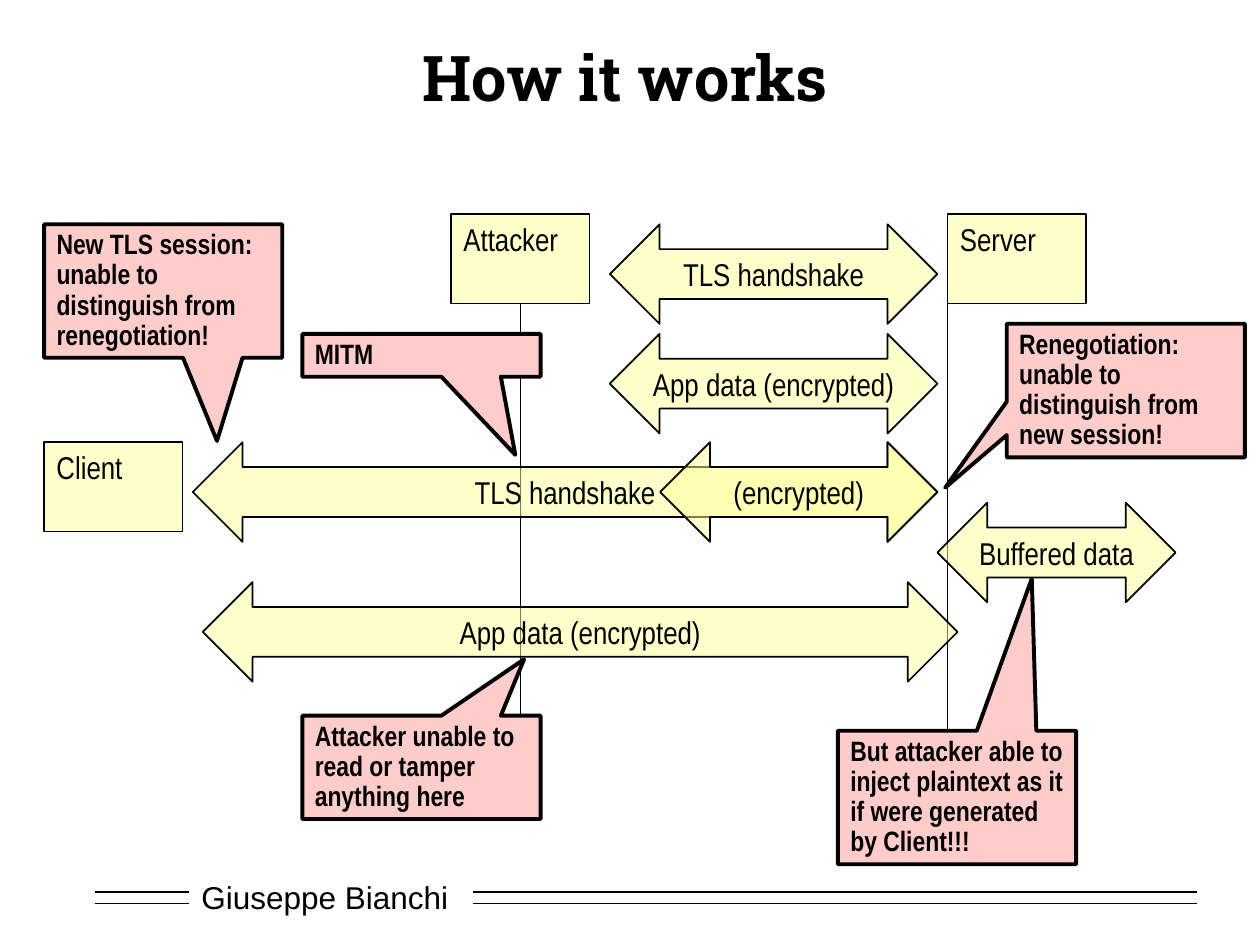
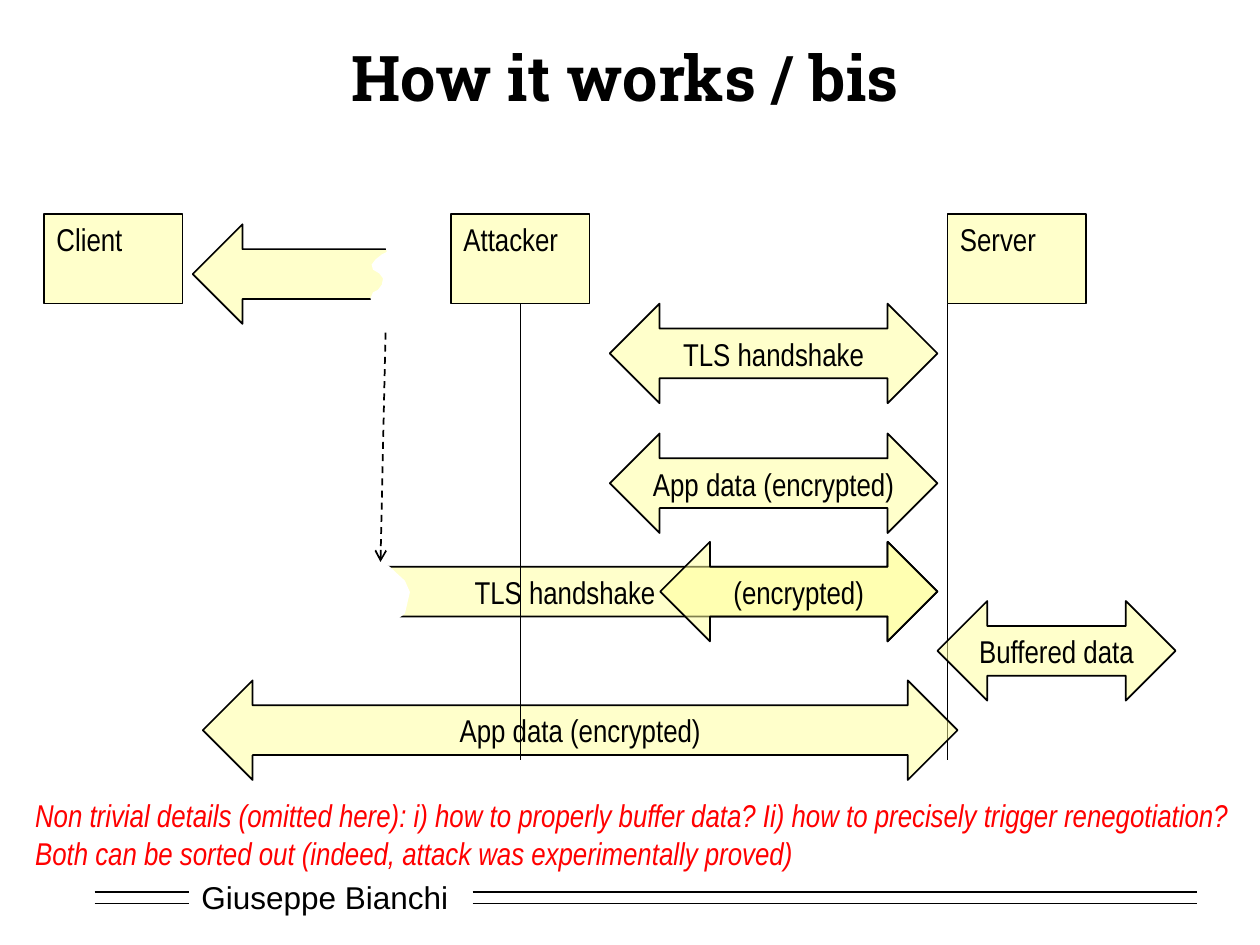
from lxml import etree
from pptx import Presentation
from pptx.dml.color import RGBColor
from pptx.enum.dml import MSO_LINE
from pptx.enum.shapes import MSO_CONNECTOR, MSO_SHAPE as Kind
from pptx.enum.text import MSO_ANCHOR as Anchor, PP_ALIGN as Align
from pptx.oxml.ns import qn
from pptx.util import Inches, Pt

HUES = {"ink": "000000", "paper": "FFFFFF", "pale": "FFFF99",
        "pink": "FFCCCC", "red": "FF0000"}
SANS, SLIM, SLAB = "Arial", "Arial Narrow", "Roboto Slab"

# Columns and sizes shared by both diagrams
CLIENT, ATTACK, SERVER = 0.35, 3.58, 7.52
TOP = 1.7
BOX_W, BOX_H = 1.1, 0.71
ARROW_H = 0.79
CALL_W = 1.89
LIFE = 2.41, 6.03

# Outline of the ragged patch that tears an arrow, from its top left corner
RAGGED = [
    (.06, 1.08), (.07, .98), (.09, .92), (.07, .86), (.03, .83), (.01, .78),
    (.03, .73), (.07, .71), (.10, .67), (.11, .62), (.08, .58), (.03, .55),
    (.02, .51), (.05, .47), (.10, .43), (.14, .41), (.11, .30), (.06, .22),
    (.08, .18), (.21, .11), (.27, .09), (.36, .05), (.40, .02), (.63, 0),
    (.86, .01), (.90, .02), (1.0, .08), (1.1, .19), (1.14, .25), (1.18, .27),
    (1.25, .34), (1.31, .39), (1.35, .44), (1.40, .50), (1.43, .59),
    (1.40, .76), (1.36, .80), (1.31, .91), (1.13, 1.05), (1.03, 1.08),
    (.81, 1.14), (.43, 1.09), (.38, 1.08), (.33, 1.05), (.13, 1.05),
    (.07, 1.07),
]


def hue(name):
    return RGBColor.from_string(HUES[name])


def write(shape, lines, size=18, face=SLIM, color="ink", bold=False,
          italic=False, align=Align.LEFT, anchor=Anchor.TOP, lead=None,
          wrap=True):
    frame = shape.text_frame
    frame.word_wrap = wrap
    frame.vertical_anchor = anchor
    for i, line in enumerate(lines):
        para = frame.add_paragraph() if i else frame.paragraphs[0]
        para.alignment = align
        if lead:
            para.line_spacing = lead
        run = para.add_run()
        run.text = line
        font = run.font
        font.name, font.size = face, Pt(size)
        font.bold, font.italic = bold, italic
        font.color.rgb = hue(color)


def paint(shape, fill, width=None, alpha=None):
    """Fill a shape; width is the line in points, alpha the opacity in %."""
    shape.shadow.inherit = False
    shape.fill.solid()
    shape.fill.fore_color.rgb = hue(fill)
    if alpha:
        tint = shape._element.spPr.find(qn("a:solidFill"))[0]
        etree.SubElement(tint, qn("a:alpha")).set("val", str(alpha * 1000))
    if width:
        shape.line.color.rgb = hue("ink")
        shape.line.width = Pt(width)
    else:
        shape.line.fill.background()


def form(slide, kind, x, y, w, h):
    return slide.shapes.add_shape(kind, Inches(x), Inches(y),
                                  Inches(w), Inches(h))


def label(slide, x, y, w, h, lines, **style):
    box = slide.shapes.add_textbox(Inches(x), Inches(y), Inches(w), Inches(h))
    write(box, lines, **style)


def actor(slide, x, y, name):
    box = form(slide, Kind.RECTANGLE, x, y, BOX_W, BOX_H)
    paint(box, "pale", 1, 50)
    write(box, [name])


def arrow(slide, x, y, w, text=None):
    shape = form(slide, Kind.LEFT_RIGHT_ARROW, x, y, w, ARROW_H)
    paint(shape, "pale", 1, 50)
    if text:
        write(shape, [text], align=Align.CENTER)


def callout(slide, x, y, h, tip, text):
    """Add a note; tip is its pointer, as shares of its size from its centre."""
    shape = form(slide, Kind.RECTANGULAR_CALLOUT, x, y, CALL_W, h)
    shape.adjustments[0], shape.adjustments[1] = tip
    paint(shape, "pink", 2.25)
    write(shape, [text], size=16, bold=True, lead=0.9)


def rule(slide, x1, y1, x2, y2):
    line = slide.shapes.add_connector(
        MSO_CONNECTOR.STRAIGHT, Inches(x1), Inches(y1), Inches(x2), Inches(y2))
    line.line.color.rgb = hue("ink")
    line.line.width = Pt(1)
    etree.SubElement(line._element.spPr, qn("a:effectLst"))
    return line


def life(slide, x):
    rule(slide, x, LIFE[0], x, LIFE[1])


def jump(slide, x1, y1, x2, y2):
    """Add a dashed line with an open arrowhead at its end."""
    line = rule(slide, x1, y1, x2, y2).line
    line.dash_style = MSO_LINE.DASH
    etree.SubElement(line._get_or_add_ln(), qn("a:tailEnd")).set("type", "arrow")


def tear(slide, x, y, stretch=1):
    """Cover part of an arrow with a ragged patch of the paper colour."""
    spots = [(Inches(x + dx * stretch), Inches(y + dy)) for dx, dy in RAGGED]
    pen = slide.shapes.build_freeform(*spots[0])
    pen.add_line_segments(spots[1:], close=True)
    paint(pen.convert_to_shape(), "paper")


def base(deck, title):
    """Add a slide with the shared title and footer."""
    slide = deck.slides.add_slide(deck.slide_layouts[6])
    foot = form(slide, Kind.RECTANGLE, 1.5, 6.92, 2.17, 0.4)
    paint(foot, "paper")
    write(foot, ["Giuseppe Bianchi"], face=SANS, anchor=Anchor.MIDDLE)
    for y in (7.08, 7.17):
        for x1, x2 in ((0.75, 1.5), (3.75, 9.5)):
            rule(slide, x1, y, x2, y)
    label(slide, 0.75, 0.25, 8.42, 0.71, [title], size=36, face=SLAB,
          bold=True, align=Align.CENTER, anchor=Anchor.MIDDLE)
    return slide


def flows(slide, shake, data, again, buffer, last):
    """Add the five message arrows at the given tops."""
    arrow(slide, 4.84, shake, 2.6, "TLS handshake")
    arrow(slide, 4.84, data, 2.6, "App data (encrypted)")
    life(slide, SERVER)
    arrow(slide, 1.53, again, 5.91, "TLS handshake")
    arrow(slide, 7.44, buffer, 1.89, "Buffered data")
    arrow(slide, 1.61, last, 5.99, "App data (encrypted)")


def sealed(slide, y):
    arrow(slide, 5.24, y, 2.2, "(encrypted)")


def works(deck):
    slide = base(deck, "How it works")
    actor(slide, ATTACK, TOP, "Attacker")
    actor(slide, SERVER, TOP, "Server")
    actor(slide, CLIENT, 3.51, "Client")
    life(slide, ATTACK + BOX_W / 2)
    flows(slide, 1.78, 2.65, 3.51, 3.99, 4.62)
    notes = [
        (0.35, 1.78, 1.06, (0.226, 1.123),
         "New TLS session: unable to distinguish from renegotiation!"),
        (2.4, 2.65, 0.34, (0.394, 2.324), "MITM"),
        (2.4, 5.68, 0.82, (0.431, -1.046),
         "Attacker unable to read or tamper anything here"),
        (6.65, 5.8, 1.06, (0.314, -1.639),
         "But attacker able to inject plaintext as it if were generated "
         "by Client!!!"),
        (7.99, 2.57, 1.06, (-0.759, 0.728),
         "Renegotiation: unable to distinguish from new session!"),
    ]
    for note in notes:
        callout(slide, *note)
    sealed(slide, 3.51)


def works_bis(deck):
    slide = base(deck, "How it works / bis")
    actor(slide, SERVER, TOP, "Server")
    actor(slide, CLIENT, TOP, "Client")
    flows(slide, 2.41, 3.44, 4.3, 4.77, 5.4)
    arrow(slide, 1.53, 1.78, 1.97)
    tear(slide, 2.93, 1.59)
    actor(slide, ATTACK, TOP, "Attacker")
    life(slide, ATTACK + BOX_W / 2)
    tear(slide, 1.38, 4.11, 1.31)
    jump(slide, 3.06, 2.64, 3.02, 4.46)
    label(slide, 0.18, 6.27, 9.68, 0.7, [
        "Non trivial details (omitted here): i) how to properly buffer data? "
        "Ii) how to precisely trigger renegotiation?",
        "Both can be sorted out (indeed, attack was experimentally proved)",
    ], color="red", italic=True, wrap=False)
    sealed(slide, 4.3)


def main():
    deck = Presentation()
    deck.slide_width, deck.slide_height = Inches(10), Inches(7.5)
    works(deck)
    works_bis(deck)
    deck.save("out.pptx")


if __name__ == "__main__":
    main()
